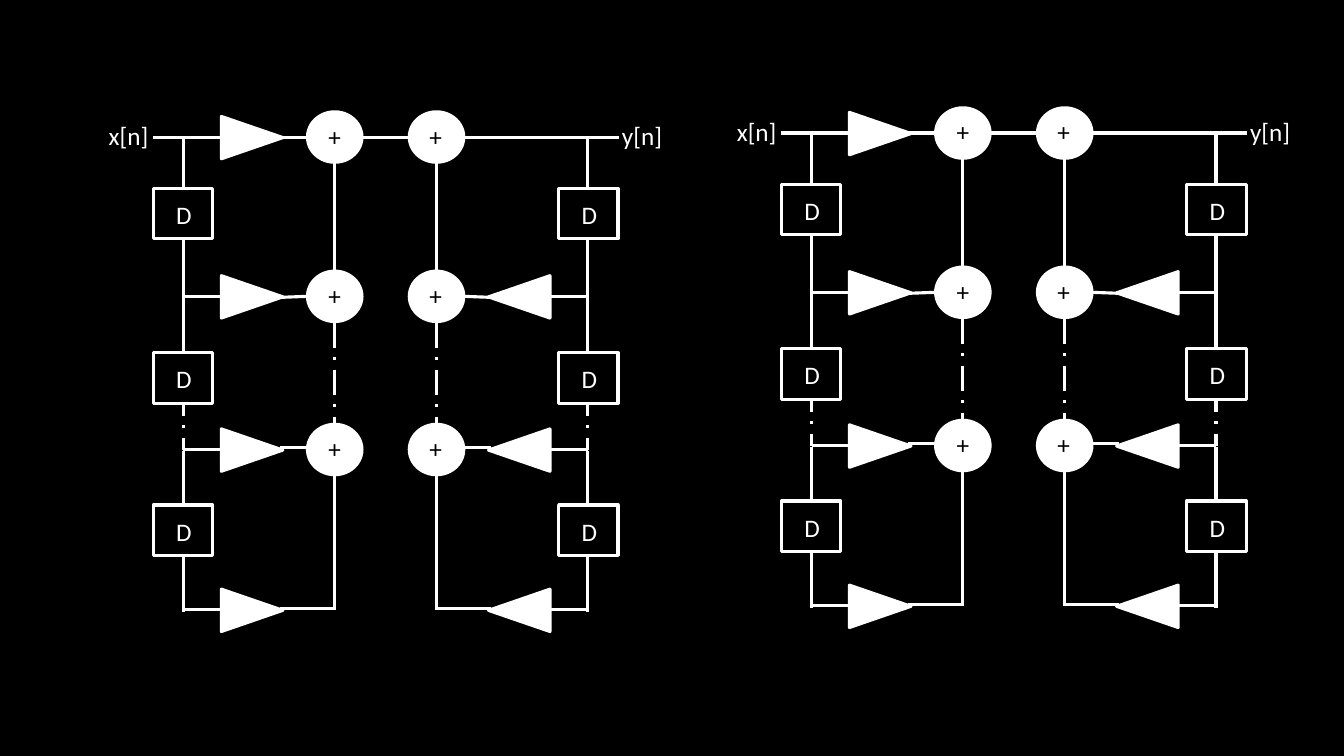
import dataclasses
import typing

import lxml.etree
import pptx
import pptx.dml.color
import pptx.enum.dml
import pptx.enum.shapes
import pptx.enum.text
import pptx.oxml.ns
import pptx.util

Inches = pptx.util.Inches
SHAPE = pptx.enum.shapes.MSO_SHAPE
DASH = pptx.enum.dml.MSO_LINE

COLORS = {"paper": "000000", "ink": "FFFFFF", "plus": "000000"}
FONT = "Calibri"
MIRROR = 7.65  # a left x and its twin on the right add up to this
ROWS = [1.36, 2.94, 4.46, 6.05]
BOXES = [1.87, 3.5, 5.01]
OUTER, INNER = 1.82, 3.32


@dataclasses.dataclass
class Wire:
    x1: float
    y1: float
    x2: float
    y2: float
    dash: typing.Any = None


@dataclasses.dataclass
class Frame:
    left: float
    top: float
    width: float
    height: float


@dataclasses.dataclass
class Panel:
    """A place to draw one filter, moved by dx and dy."""
    shapes: typing.Any
    dx: float = 0
    dy: float = 0


WIRES = [
    Wire(OUTER, ROWS[0], OUTER, 1.87),
    Wire(OUTER, 2.37, OUTER, 3.5),
    Wire(OUTER, 4.0, OUTER, 4.5, DASH.DASH_DOT),
    Wire(OUTER, 4.47, OUTER, 5.01),
    Wire(OUTER, 5.51, OUTER, 6.07),
    *[Wire(OUTER, y, 2.2, y) for y in ROWS[1:]],
    Wire(2.78, 2.95, 3.05, 2.94),
    Wire(2.78, 4.44, 3.05, 4.44),
    Wire(2.78, 6.04, INNER, 6.04),
    Wire(INNER, 1.6, INNER, 2.69),
    Wire(INNER, 3.2, INNER, 4.21, DASH.LONG_DASH_DOT),
    Wire(INNER, 4.72, INNER, 6.05),
]


def color(name: str) -> pptx.dml.color.RGBColor:
    return pptx.dml.color.RGBColor.from_string(COLORS[name])


def flip(frame: Frame) -> Frame:
    return dataclasses.replace(frame, left=MIRROR - frame.left - frame.width)


def place(panel: Panel, frame: Frame) -> list:
    return [Inches(frame.left + panel.dx), Inches(frame.top + panel.dy),
            Inches(frame.width), Inches(frame.height)]


def add_wire(panel: Panel, wire: Wire) -> None:
    ends = [wire.x1 + panel.dx, wire.y1 + panel.dy,
            wire.x2 + panel.dx, wire.y2 + panel.dy]
    line = panel.shapes.add_connector(
        pptx.enum.shapes.MSO_CONNECTOR.STRAIGHT, *map(Inches, ends))
    line.line.color.rgb = color("ink")
    line.line.width = pptx.util.Pt(2.25)
    if wire.dash is not None:
        line.line.dash_style = wire.dash
    lxml.etree.SubElement(line._element.spPr, pptx.oxml.ns.qn("a:effectLst"))


def add_part(panel: Panel, kind: SHAPE, frame: Frame,
             solid: bool = True, turn: float = 0) -> None:
    part = panel.shapes.add_shape(kind, *place(panel, frame))
    part.shadow.inherit = False
    part.rotation = turn
    part.line.color.rgb = color("ink")
    part.line.width = pptx.util.Pt(2.25)
    if solid:
        part.fill.solid()
        part.fill.fore_color.rgb = color("ink")
    else:
        part.fill.background()


def add_text(panel: Panel, text: str, frame: Frame, *,
             ink: str = "ink", size: float = 18) -> None:
    box = panel.shapes.add_textbox(*place(panel, frame))
    box.text_frame.word_wrap = False
    box.text_frame.auto_size = pptx.enum.text.MSO_AUTO_SIZE.SHAPE_TO_FIT_TEXT
    run = box.text_frame.paragraphs[0].add_run()
    run.text = text
    run.font.name = FONT
    run.font.size = pptx.util.Pt(size)
    run.font.color.rgb = color(ink)


def draw_half(panel: Panel, right: bool) -> None:
    """Draw the delay chain, gains and sums of one side."""
    def side(frame: Frame) -> Frame:
        return flip(frame) if right else frame

    for wire in WIRES:
        if right:
            wire = dataclasses.replace(
                wire, x1=MIRROR - wire.x1, x2=MIRROR - wire.x2)
        add_wire(panel, wire)
    for top in BOXES:
        add_part(panel, SHAPE.RECTANGLE, side(Frame(1.52, top, 0.59, 0.5)),
                 solid=False)
        add_text(panel, "D", side(Frame(1.65, top + 0.06, 0.33, 0.4)))
    for row in ROWS[1:] if right else ROWS:
        add_part(panel, SHAPE.ISOSCELES_TRIANGLE,
                 side(Frame(2.29, row - 0.3, 0.42, 0.61)),
                 turn=270 if right else 90)
    for row in ROWS[:3]:
        add_part(panel, SHAPE.OVAL, side(Frame(3.05, row - 0.25, 0.54, 0.5)))
        add_text(panel, "+", side(Frame(3.16, row - 0.21, 0.33, 0.4)),
                 ink="plus")


def draw_filter(panel: Panel) -> None:
    add_wire(panel, Wire(1.52, ROWS[0], 6.14, ROWS[0]))
    for right in (False, True):
        draw_half(panel, right)
    add_text(panel, "x[n]", Frame(0.98, 1.14, 0.62, 0.4))
    add_text(panel, "y[n]", Frame(6.07, 1.14, 0.62, 0.4))


def main() -> None:
    deck = pptx.Presentation()
    deck.slide_width, deck.slide_height = Inches(13.33), Inches(7.5)
    slide = deck.slides.add_slide(deck.slide_layouts[6])
    slide.background.fill.solid()
    slide.background.fill.fore_color.rgb = color("paper")
    draw_filter(Panel(slide.shapes))
    group = slide.shapes.add_group_shape()
    draw_filter(Panel(group.shapes, dx=6.23, dy=-0.04))
    deck.save("out.pptx")


if __name__ == "__main__":
    main()
